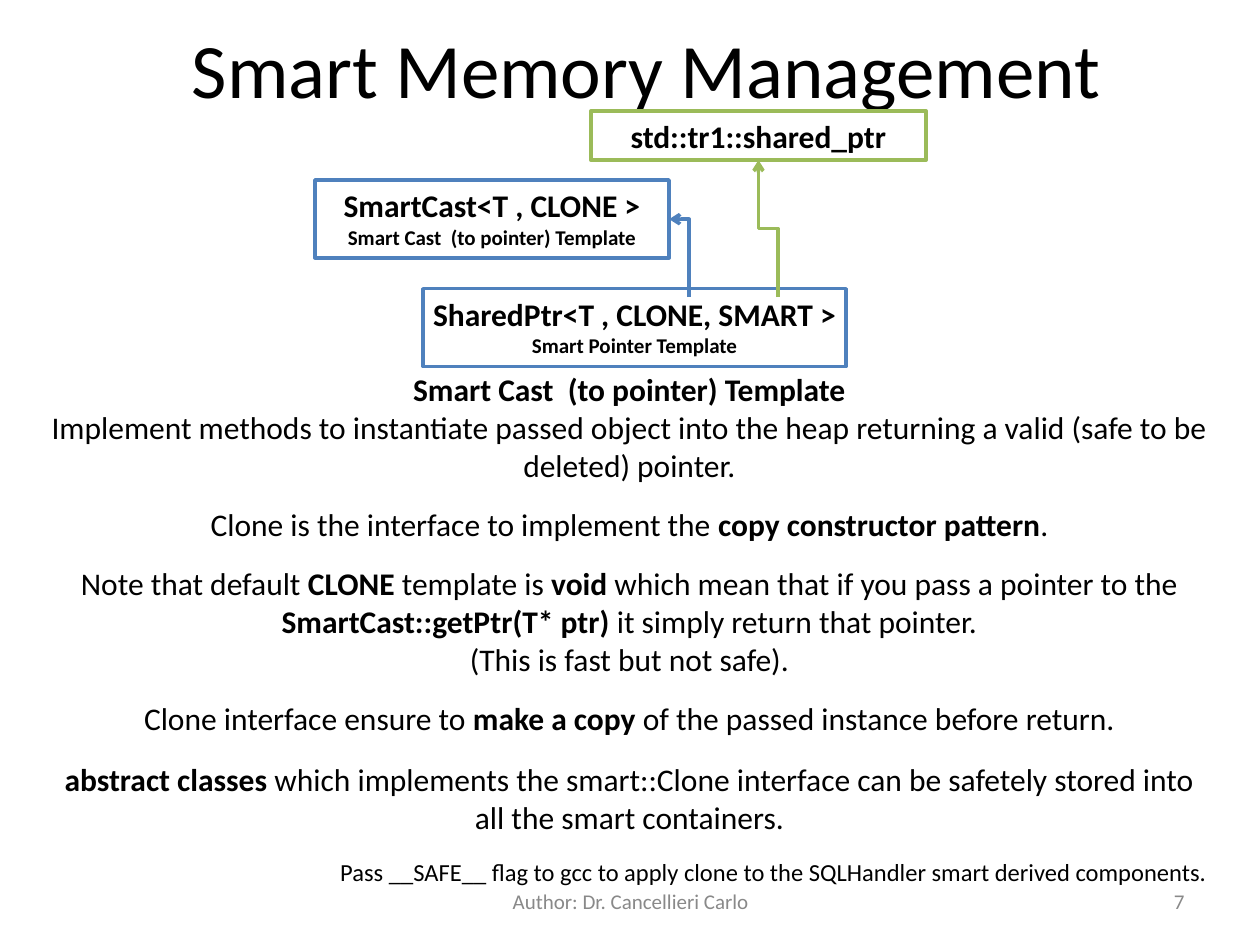
from dataclasses import dataclass

from lxml import etree
from pptx import Presentation
from pptx import util as u
from pptx.dml.color import RGBColor
from pptx.enum import shapes, text
from pptx.oxml import ns


@dataclass(frozen=True)
class Theme:
    font: str = "Calibri"
    ink: RGBColor = RGBColor(0, 0, 0)
    paper: RGBColor = RGBColor(255, 255, 255)
    muted: RGBColor = RGBColor(0x89, 0x89, 0x89)
    blue: RGBColor = RGBColor(0x4F, 0x81, 0xBD)
    green: RGBColor = RGBColor(0x9B, 0xBB, 0x59)
    title: float = 44
    body: float = 18
    note: float = 14
    small: float = 12
    line: float = 2
    gap: float = 12.2


THEME = Theme()
ALIGN = text.PP_ALIGN
ANCHOR = text.MSO_ANCHOR


@dataclass(frozen=True)
class Box:
    """Position and size in centimetres."""
    left: float
    top: float
    width: float
    height: float

    def lengths(self) -> tuple:
        return tuple(u.Cm(v) for v in (self.left, self.top, self.width, self.height))


@dataclass(frozen=True)
class Line:
    """One paragraph; words between ** marks are bold."""
    words: str
    size: float = THEME.body
    color: RGBColor = THEME.ink
    align: ALIGN = ALIGN.CENTER
    before: float = 0
    bold: bool = False


@dataclass(frozen=True)
class ClassBox:
    box: Box
    color: RGBColor
    name: str
    caption: str = ""


@dataclass(frozen=True)
class Inheritance:
    """Arrow that leaves upwards from start; points in centimetres."""
    start: tuple[float, float]
    end: tuple[float, float]
    color: RGBColor
    geometry: str


@dataclass(frozen=True)
class TextBlock:
    box: Box
    lines: list[Line]
    anchor: ANCHOR = ANCHOR.TOP


CLASSES = [
    ClassBox(Box(8.53, 5.82, 8.53, 1.57), THEME.blue,
             "SharedPtr<T , CLONE, SMART >", "Smart Pointer Template"),
    ClassBox(Box(11.91, 2.24, 6.76, 0.99), THEME.green, "std::tr1::shared_ptr"),
    ClassBox(Box(6.35, 3.63, 7.14, 1.57), THEME.blue,
             "SmartCast<T , CLONE >", "Smart Cast  (to pointer) Template"),
]

ARROWS = [
    Inheritance((15.68, 5.99), (15.29, 3.23), THEME.green, "bentConnector3"),
    Inheritance((13.89, 5.99), (13.49, 4.42), THEME.blue, "bentConnector2"),
]

BLOCKS = [
    # Explanation
    TextBlock(Box(0.79, 7.34, 23.8, 10.64), [
        Line("Smart Cast  (to pointer) Template", bold=True),
        Line("Implement methods to instantiate passed object into the heap "
             "returning a valid (safe to be deleted) pointer."),
        Line("Clone is the interface to implement the **copy constructor pattern**.",
             before=THEME.gap),
        Line("Note that default **CLONE** template is **void** which mean that if you "
             "pass a pointer to the **SmartCast::getPtr(T* ptr)** it simply return "
             "that pointer.", before=THEME.gap),
        Line("(This is fast but not safe)."),
        Line("Clone interface ensure to **make a copy** of the passed instance "
             "before return.", before=THEME.gap),
        Line("**abstract classes** which implements the smart::Clone interface can be "
             "safetely stored into all the smart containers.", before=THEME.gap + 1.2),
        Line("Pass __SAFE__ flag to gcc to apply clone to the SQLHandler smart "
             "derived components.", THEME.note, align=ALIGN.RIGHT, before=THEME.gap),
    ]),
    # Slide number and footer
    TextBlock(Box(18.21, 17.65, 5.92, 1.02),
              [Line("7", THEME.small, THEME.muted, ALIGN.RIGHT)], ANCHOR.MIDDLE),
    TextBlock(Box(8.69, 17.65, 8.05, 1.02),
              [Line("Author: Dr. Cancellieri Carlo", THEME.small, THEME.muted)],
              ANCHOR.MIDDLE),
]


def write_lines(frame, lines: list[Line]) -> None:
    for index, line in enumerate(lines):
        paragraph = frame.paragraphs[0] if index == 0 else frame.add_paragraph()
        paragraph.alignment = line.align
        paragraph.space_before = u.Pt(line.before)
        font = paragraph.font
        font.name, font.size, font.bold = THEME.font, u.Pt(line.size), line.bold
        font.color.rgb = line.color
        for part, words in enumerate(line.words.split("**")):
            if words:
                run = paragraph.add_run()
                run.text = words
                if part % 2:
                    run.font.bold = True


def add_class_box(slide, item: ClassBox) -> None:
    shape = slide.shapes.add_shape(shapes.MSO_SHAPE.RECTANGLE, *item.box.lengths())
    shape.shadow.inherit = False
    shape.fill.solid()
    shape.fill.fore_color.rgb = THEME.paper
    shape.line.color.rgb = item.color
    shape.line.width = u.Pt(THEME.line)
    frame = shape.text_frame
    frame.word_wrap = False
    frame.vertical_anchor = ANCHOR.TOP
    lines = [Line(item.name, bold=True)]
    if item.caption:
        lines.append(Line(item.caption, THEME.small, bold=True))
    write_lines(frame, lines)


def add_inheritance(slide, arrow: Inheritance) -> None:
    # Lay the elbow on its side about its centre, then turn it a quarter left
    (x1, y1), (x2, y2) = arrow.start, arrow.end
    middle_x, middle_y = (x1 + x2) / 2, (y1 + y2) / 2
    half_run, half_rise = (y1 - y2) / 2, (x1 - x2) / 2
    connector = slide.shapes.add_connector(
        shapes.MSO_CONNECTOR.ELBOW,
        u.Cm(middle_x - half_run), u.Cm(middle_y + half_rise),
        u.Cm(middle_x + half_run), u.Cm(middle_y - half_rise))
    connector.line.color.rgb = arrow.color
    connector.line.width = u.Pt(THEME.line)
    properties = connector.element.spPr
    properties.find(ns.qn("a:xfrm")).set("rot", str(270 * 60000))
    properties.find(ns.qn("a:prstGeom")).set("prst", arrow.geometry)
    outline = properties.find(ns.qn("a:ln"))
    etree.SubElement(outline, ns.qn("a:tailEnd"), type="arrow")
    etree.SubElement(properties, ns.qn("a:effectLst"))


def add_text_block(slide, block: TextBlock) -> None:
    frame = slide.shapes.add_textbox(*block.box.lengths()).text_frame
    frame.word_wrap = True
    frame.vertical_anchor = block.anchor
    write_lines(frame, block.lines)


def main() -> None:
    presentation = Presentation()
    presentation.slide_width, presentation.slide_height = u.Cm(25.4), u.Cm(19.05)
    slide = presentation.slides.add_slide(presentation.slide_layouts[5])

    # Title
    title = slide.shapes.title
    title.left, title.top, title.width, title.height = Box(2.24, 0, 21.59, 2.74).lengths()
    title.text_frame.vertical_anchor = ANCHOR.MIDDLE
    write_lines(title.text_frame, [Line("Smart Memory Management", THEME.title)])

    # Class diagram
    for item in CLASSES:
        add_class_box(slide, item)
    for arrow in ARROWS:
        add_inheritance(slide, arrow)

    # Text below the diagram
    for block in BLOCKS:
        add_text_block(slide, block)

    presentation.save("out.pptx")


if __name__ == "__main__":
    main()
